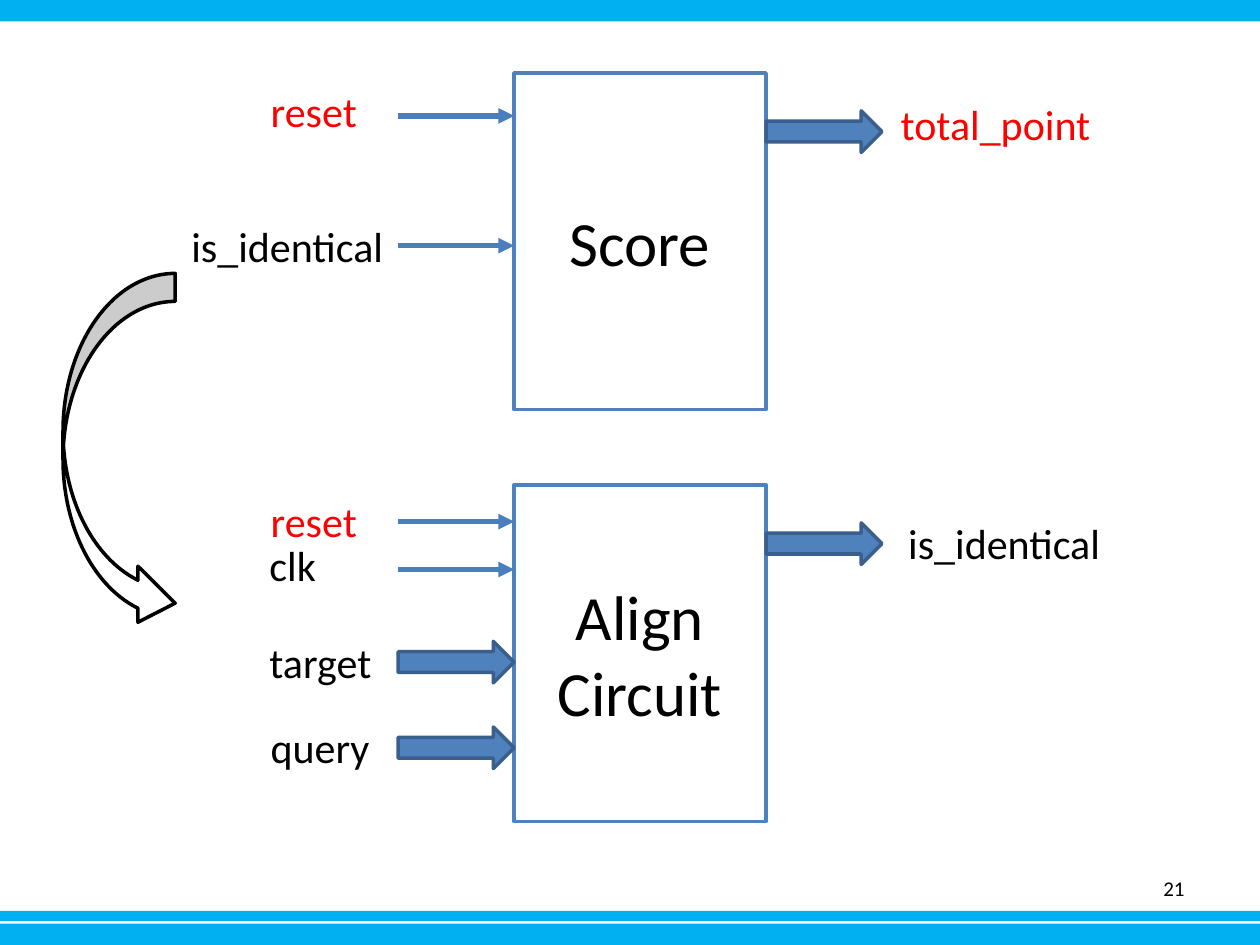
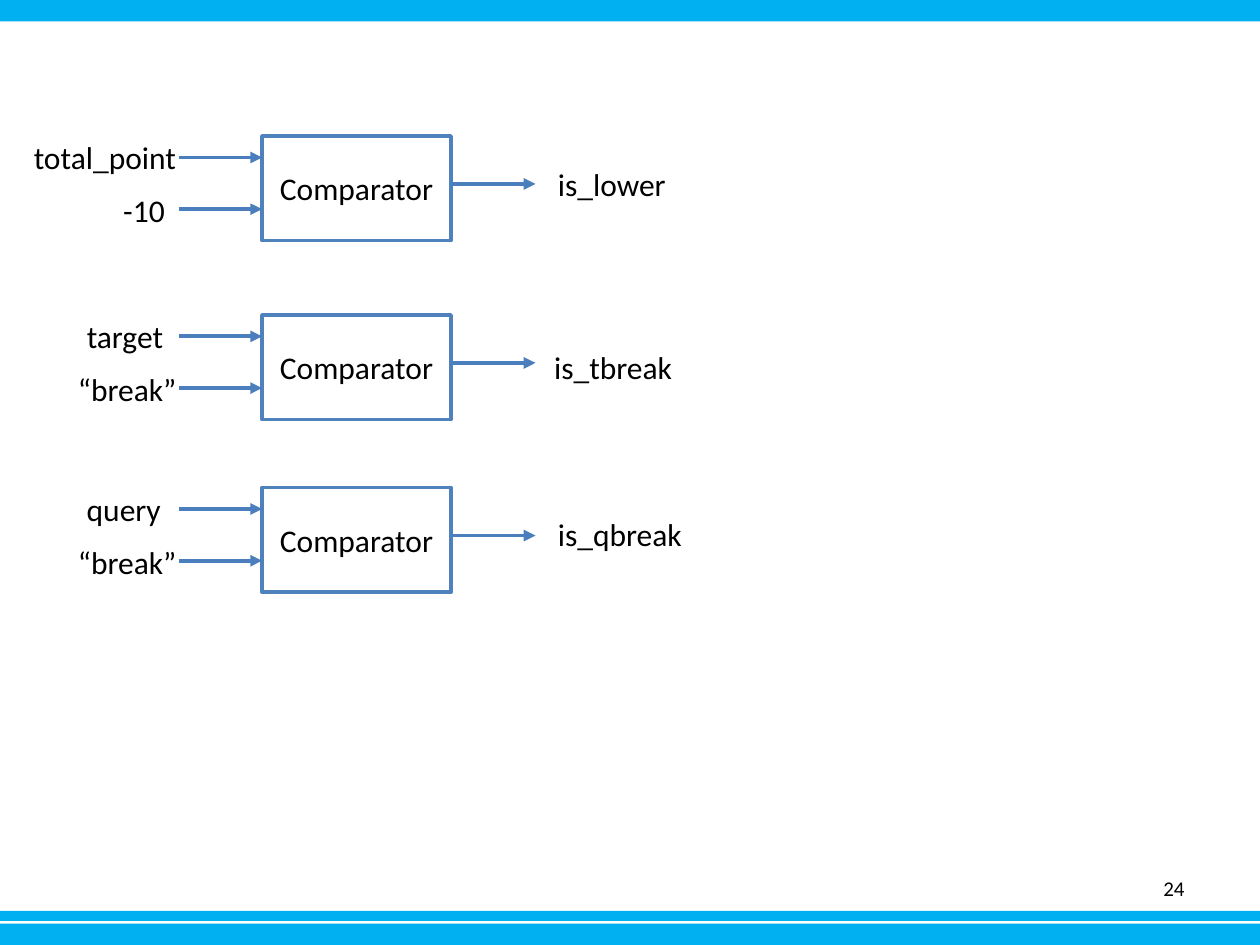
import pptx
import pptx.util
import pptx.dml.color
import pptx.enum.shapes
import pptx.enum.text
import pptx.oxml
import pptx.oxml.ns

Inches = pptx.util.Inches
Pt = pptx.util.Pt
SHAPE = pptx.enum.shapes.MSO_SHAPE
ALIGN = pptx.enum.text.PP_ALIGN
ANCHOR = pptx.enum.text.MSO_ANCHOR

FONT = "Calibri"
BAND = "00B0F0"
BLUE = "4F81BD"
ARROW_EDGE = "3A5F8C"
WIRE = "4B7EBC"
BLACK = "000000"
WHITE = "FFFFFF"
RED = "FF0000"


def rgb(value):
    return pptx.dml.color.RGBColor.from_string(value)


def put_text(sp, text, size, color=BLACK, align=ALIGN.LEFT, anchor=ANCHOR.TOP):
    tf = sp.text_frame
    tf.text = text
    tf.vertical_anchor = anchor
    p = tf.paragraphs[0]
    p.alignment = align
    font = p.runs[0].font
    font.name = FONT
    font.size = Pt(size)
    font.color.rgb = rgb(color)
    return tf


def add_shape(s, kind, left, top, width, height, fill, line=None):
    sp = s.shapes.add_shape(kind, Inches(left), Inches(top), Inches(width), Inches(height))
    sp.shadow.inherit = False
    sp.fill.solid()
    sp.fill.fore_color.rgb = rgb(fill)
    if line:
        sp.line.color.rgb = rgb(line)
        sp.line.width = Pt(2)
    else:
        sp.line.fill.background()
    return sp


def add_block(s, left, top, width, height, name, size):
    sp = add_shape(s, SHAPE.RECTANGLE, left, top, width, height, WHITE, BLUE)
    put_text(sp, name, size, align=ALIGN.CENTER, anchor=ANCHOR.MIDDLE).word_wrap = True


def add_label(s, text, left, top, width, size, color=BLACK):
    height = 0.5 if size > 20 else 0.4
    sp = s.shapes.add_textbox(Inches(left), Inches(top), Inches(width), Inches(height))
    tf = put_text(sp, text, size, color)
    tf.word_wrap = False
    tf.auto_size = pptx.enum.text.MSO_AUTO_SIZE.SHAPE_TO_FIT_TEXT


def add_wire(s, left, right, y, weight):
    cx = s.shapes.add_connector(pptx.enum.shapes.MSO_CONNECTOR.STRAIGHT,
                                Inches(left), Inches(y), Inches(right), Inches(y))
    cx.line.color.rgb = rgb(WIRE)
    cx.line.width = Pt(weight)
    ln = cx.line._get_or_add_ln()
    ln.append(pptx.oxml.parse_xml(
        f'<a:tailEnd {pptx.oxml.ns.nsdecls("a")} type="triangle"/>'))
    ln.addnext(pptx.oxml.parse_xml(f'<a:effectLst {pptx.oxml.ns.nsdecls("a")}/>'))


def add_bus(s, left, top):
    add_shape(s, SHAPE.RIGHT_ARROW, left, top, 0.92, 0.33, BLUE, ARROW_EDGE)


def add_bands(prs, s):
    tree = prs.slide_master.element.cSld.spTree
    for top, height in ((7.33, 0.17), (7.23, 0.08), (0, 0.17)):
        sp = add_shape(s, SHAPE.RECTANGLE, 0, top, 10, height, BAND)
        tree.append(sp.element)


def new_slide(prs, number):
    s = prs.slides.add_slide(prs.slide_layouts[6])
    sp = s.shapes.add_textbox(Inches(7.17), Inches(6.85), Inches(2.33), Inches(0.4))
    put_text(sp, str(number), 12, align=ALIGN.RIGHT, anchor=ANCHOR.MIDDLE).word_wrap = True
    return s


def circuit(s, left, top, name, inputs, output):
    width = 2
    add_block(s, left, top, width, 2.67, name, 36)
    for text, dx, dy, label_width, color, kind, arrow_dy in inputs:
        add_label(s, text, left + dx, top + dy, label_width, 24, color)
        if kind == "bus":
            add_bus(s, left - 0.92, top + arrow_dy)
        else:
            add_wire(s, left - 0.92, left, top + arrow_dy, 3)
    text, dx, dy, label_width, color = output
    add_bus(s, left + width, top + 0.3)
    add_label(s, text, left + dx, top + dy, label_width, 24, color)


def feedback_arrow(s, left, top):
    sp = add_shape(s, SHAPE.CURVED_RIGHT_ARROW, left, top, 0.89, 2.84, WHITE, BLACK)
    for i, value in enumerate((0.25, 0.5, 0.332)):
        sp.adjustments[i] = value


def comparator(s, left, top, inputs, output):
    width = 1.5
    add_block(s, left, top, width, 0.83, "Comparator", 18)
    for i, (text, dx, label_width) in enumerate(inputs):
        add_wire(s, left - 0.66, left, top + 0.17 + 0.41 * i, 2.25)
        add_label(s, text, left + dx, top - 0.03 + 0.42 * i, label_width, 18)
    text, dx, dy, label_width = output
    add_wire(s, left + width, left + width + 0.67, top + 0.38, 2.25)
    add_label(s, text, left + dx, top + dy, label_width, 18)


def circuits_slide(prs):
    s = new_slide(prs, 21)
    add_bands(prs, s)
    circuit(s, 4.08, 0.58, "Score", [
        ("reset", -2.03, 0.05, 0.89, RED, "wire", 0.34),
        ("is_identical", -2.66, 1.12, 1.74, BLACK, "wire", 1.37),
    ], ("total_point", 2.97, 0.15, 1.72, RED))
    circuit(s, 4.08, 3.85, "Align Circuit", [
        ("reset", -2.03, 0.03, 0.89, RED, "wire", 0.29),
        ("clk", -2.04, 0.38, 0.57, BLACK, "wire", 0.67),
        ("target", -2.04, 1.15, 1.02, BLACK, "bus", 1.24),
        ("query", -2.03, 1.83, 1, BLACK, "bus", 1.92),
    ], ("is_identical", 3.03, 0.21, 1.74, BLACK))
    feedback_arrow(s, 0.5, 2.17)


def comparators_slide(prs):
    s = new_slide(prs, 24)
    quoted = ("“break”", -1.56, 0.99)
    rows = [
        (1.08, [("total_point", -1.91, 1.34), ("-10", -1.2, 0.54)],
         ("is_lower", 2.25, 0.18, 1.07)),
        (2.5, [("target", -1.49, 0.81), quoted], ("is_tbreak", 2.22, 0.21, 1.15)),
        (3.87, [("query", -1.49, 0.8), quoted], ("is_qbreak", 2.25, 0.17, 1.2)),
    ]
    for top, inputs, output in rows:
        comparator(s, 2.08, top, inputs, output)


def main():
    prs = pptx.Presentation()
    prs.slide_width = Inches(10)
    prs.slide_height = Inches(7.5)
    circuits_slide(prs)
    comparators_slide(prs)
    prs.save("out.pptx")


if __name__ == "__main__":
    main()
